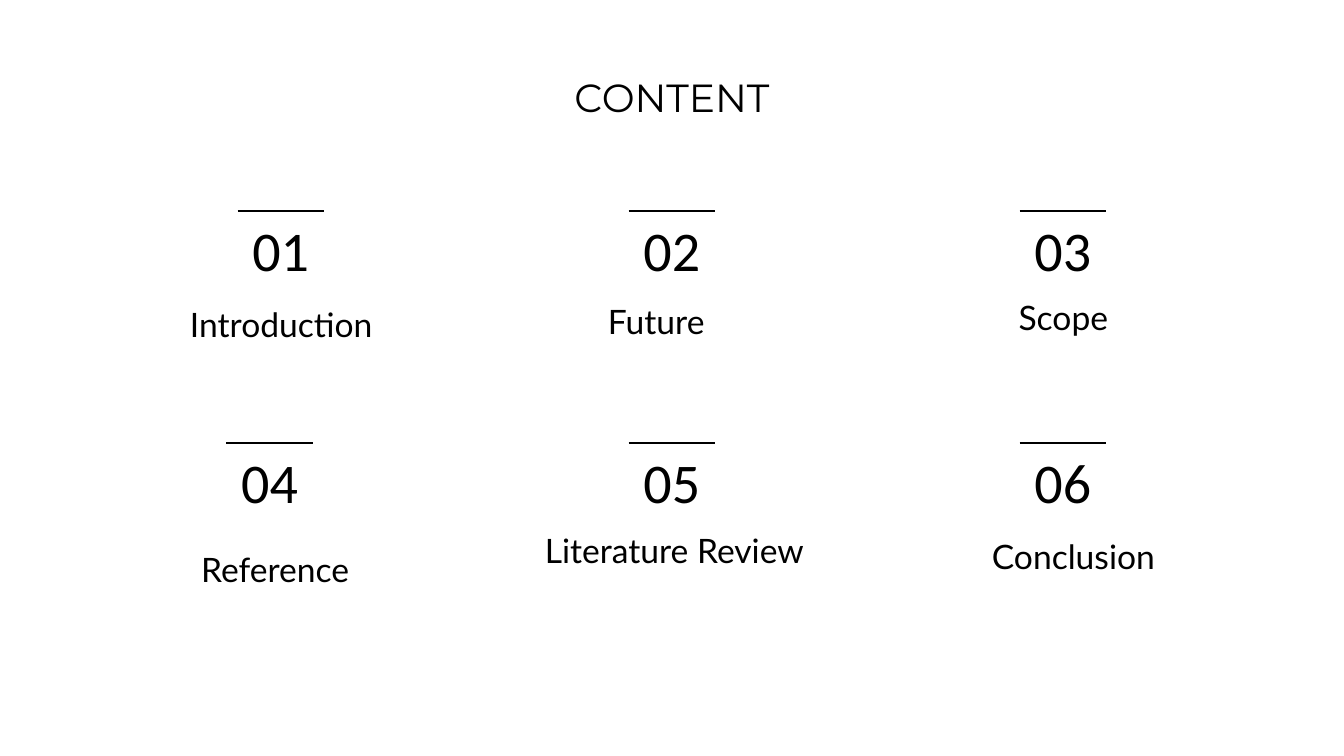
from dataclasses import dataclass

from lxml import etree
from pptx import Presentation
from pptx.dml.color import RGBColor
from pptx.enum.shapes import MSO_CONNECTOR
from pptx.enum.text import MSO_ANCHOR, MSO_AUTO_SIZE, PP_ALIGN
from pptx.oxml.ns import qn
from pptx.shapes.base import BaseShape
from pptx.slide import Slide
from pptx.util import Pt

STRAIGHT = MSO_CONNECTOR.STRAIGHT
TOP, BOTTOM = MSO_ANCHOR.TOP, MSO_ANCHOR.BOTTOM
CENTER = PP_ALIGN.CENTER
NO_AUTOFIT = MSO_AUTO_SIZE.NONE

BLACK = "000000"
INSET = 9.6
TITLE_ONLY = 5

# Number and label boxes, in points
NUMBER_WIDTH, NUMBER_HEIGHT = 77, 46.8
LABEL_WIDTH, LABEL_HEIGHT = 241.9, 77
RULE_WIDTH, RULE_GAP = 61.6, 14.9
ROW_TOPS = (165.6, 331.2)


@dataclass(frozen=True)
class Section:
    label: str
    number_left: float
    label_left: float
    label_top: float


SECTIONS = (
    Section("Introduction", 162, 79.9, 178.6),
    Section("Future", 441.4, 347.8, 176.4),
    Section("Scope", 720.7, 638.6, 173.5),
    Section("Reference", 154.1, 75.6, 353.5),
    Section("Literature Review", 441.4, 360.7, 339.8),
    Section("Conclusion", 720.7, 645.8, 344.2),
)
COLUMNS = 3


def color(value: str) -> RGBColor:
    return RGBColor.from_string(value)


def set_text(box: BaseShape, text: str, font: str, size: float,
             anchor: MSO_ANCHOR = BOTTOM, spacing: float = 1.0) -> None:
    frame = box.text_frame
    frame.text = text
    frame.word_wrap = True
    frame.auto_size = NO_AUTOFIT
    frame.vertical_anchor = anchor
    frame.margin_left = frame.margin_right = Pt(INSET)
    frame.margin_top = frame.margin_bottom = Pt(INSET)
    line = frame.paragraphs[0]
    line.alignment = CENTER
    line.line_spacing = spacing
    line.font.name = font
    line.font.size = Pt(size)
    line.font.color.rgb = color(BLACK)


def add_rule(slide: Slide, left: float, top: float) -> None:
    rule = slide.shapes.add_connector(
        STRAIGHT, Pt(left), Pt(top), Pt(left + RULE_WIDTH), Pt(top))
    rule.line.color.rgb = color(BLACK)
    rule.line.width = Pt(1.5)
    etree.SubElement(rule._element.spPr, qn("a:effectLst"))


def add_section(slide: Slide, index: int, section: Section) -> None:
    top = ROW_TOPS[index // COLUMNS]
    number = slide.shapes.add_textbox(
        Pt(section.number_left), Pt(top), Pt(NUMBER_WIDTH), Pt(NUMBER_HEIGHT))
    set_text(number, f"{index + 1:02d}", "Calibri", 40, spacing=0.9)
    label = slide.shapes.add_textbox(
        Pt(section.label_left), Pt(section.label_top),
        Pt(LABEL_WIDTH), Pt(LABEL_HEIGHT))
    set_text(label, section.label, "Lato", 24)
    rule_left = section.number_left + (NUMBER_WIDTH - RULE_WIDTH) / 2
    add_rule(slide, rule_left, top - RULE_GAP)


def main() -> None:
    deck = Presentation()
    deck.slide_width, deck.slide_height = Pt(960), Pt(540)
    slide = deck.slides.add_slide(deck.slide_layouts[TITLE_ONLY])
    slide.background.fill.solid()
    slide.background.fill.fore_color.rgb = color("FFFFFF")

    # Heading
    heading = slide.shapes.title
    heading.left, heading.top = Pt(75.6), Pt(46.8)
    heading.width, heading.height = Pt(808.6), Pt(60.5)
    set_text(heading, "CONTENT", "Montserrat", 28, TOP, 0.9)

    # Numbered sections
    for index, section in enumerate(SECTIONS):
        add_section(slide, index, section)

    deck.save("out.pptx")


if __name__ == "__main__":
    main()
